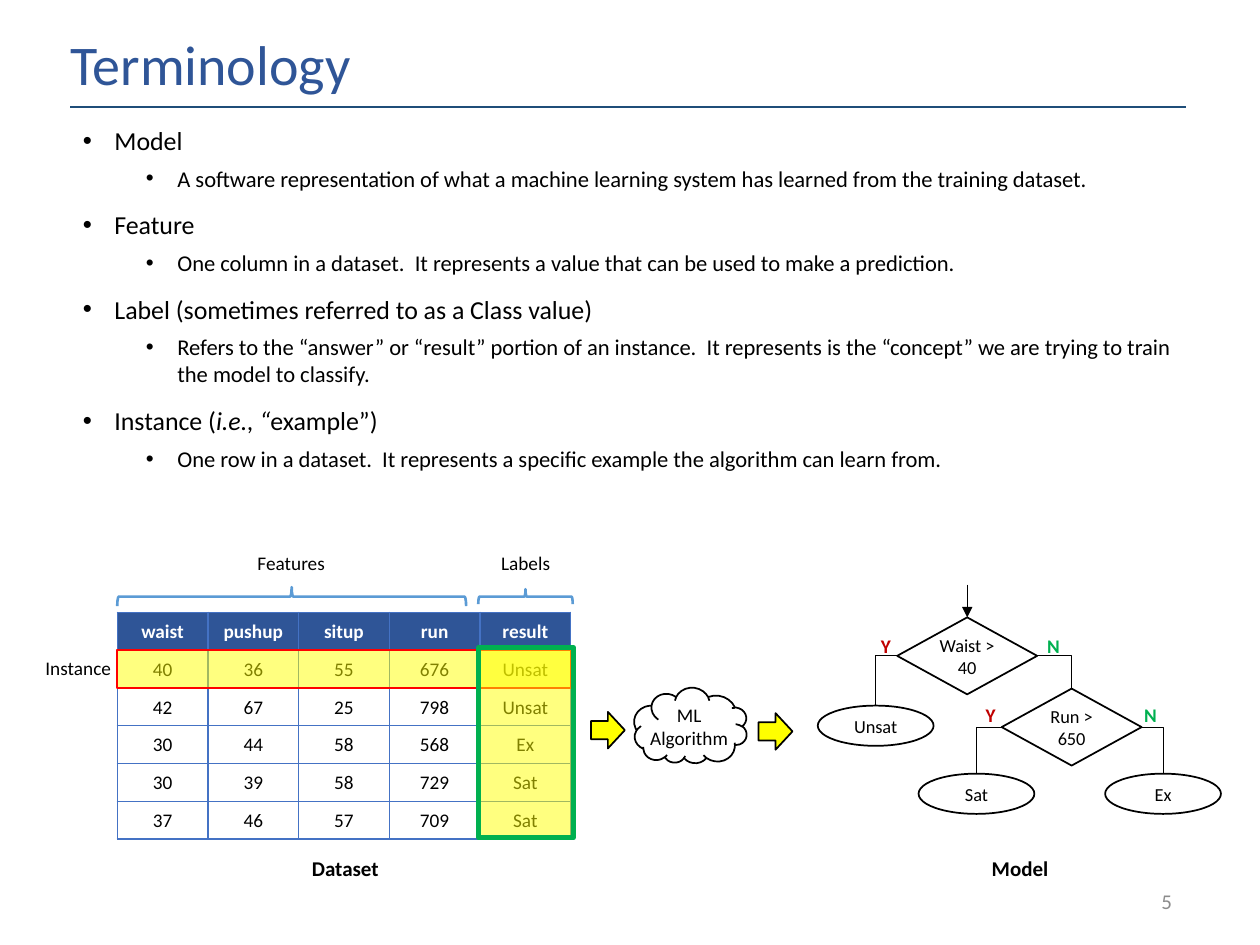
import pptx
import pptx.util
import pptx.dml.color
import pptx.enum.shapes
import pptx.enum.text
import pptx.oxml
import pptx.oxml.ns
import lxml.etree

Pt = pptx.util.Pt
RGBColor = pptx.dml.color.RGBColor
SHAPE = pptx.enum.shapes.MSO_SHAPE
CONNECTOR = pptx.enum.shapes.MSO_CONNECTOR
ALIGN = pptx.enum.text.PP_ALIGN
ANCHOR = pptx.enum.text.MSO_ANCHOR
qn = pptx.oxml.ns.qn

BLACK = RGBColor(0, 0, 0)
WHITE = RGBColor(255, 255, 255)
NAVY = RGBColor(0x2F, 0x55, 0x97)
RULE_BLUE = RGBColor(0x1F, 0x4E, 0x79)
GRID_BLUE = RGBColor(0x44, 0x72, 0xC4)
BRACE_BLUE = RGBColor(0x5B, 0x9B, 0xD5)
YELLOW = RGBColor(255, 255, 0)
RED = RGBColor(255, 0, 0)
DARK_RED = RGBColor(0xC0, 0, 0)
GREEN = RGBColor(0, 0xB0, 0x50)
GRAY = RGBColor(0x8C, 0x8C, 0x8C)

DEFINITIONS = [
    (["Model"], "A software representation of what a machine learning system has learned from the training dataset."),
    (["Feature"], "One column in a dataset.  It represents a value that can be used to make a prediction."),
    (["Label (sometimes referred to as a Class value)"],
     "Refers to the “answer” or “result” portion of an instance.  It represents is the “concept” "
     "we are trying to train the model to classify."),
    (["Instance (", "i.e., “", "example”)"],
     "One row in a dataset.  It represents a specific example the algorithm can learn from."),
]
DATASET = [
    ["waist", "pushup", "situp", "run", "result"],
    ["40", "36", "55", "676", "Unsat"],
    ["42", "67", "25", "798", "Unsat"],
    ["30", "44", "58", "568", "Ex"],
    ["30", "39", "58", "729", "Sat"],
    ["37", "46", "57", "709", "Sat"],
]


def style(paragraph, size, color=BLACK, bold=False, align=ALIGN.CENTER):
    font = paragraph.font
    font.name, font.size, font.bold = "Calibri", Pt(size), bold
    font.color.rgb = color
    paragraph.alignment = align


def add_label(slide, left, top, width, height, text, size=11, color=BLACK,
              bold=False, align=ALIGN.CENTER, anchor=ANCHOR.TOP):
    box = slide.shapes.add_textbox(Pt(left), Pt(top), Pt(width), Pt(height))
    frame = box.text_frame
    frame.word_wrap = True
    frame.vertical_anchor = anchor
    paragraph = frame.paragraphs[0]
    paragraph.text = text
    style(paragraph, size, color, bold, align)
    return paragraph


def add_figure(slide, kind, left, top, width, height, fill=None, line=BLACK,
               weight=1, text="", alpha=None, rotation=0):
    shape = slide.shapes.add_shape(kind, Pt(left), Pt(top), Pt(width), Pt(height))
    shape.shadow.inherit = False
    shape.rotation = rotation
    shape.line.color.rgb = line
    shape.line.width = Pt(weight)
    if fill is None:
        shape.fill.background()
    else:
        shape.fill.solid()
        shape.fill.fore_color.rgb = fill
    if alpha:
        color = shape._element.spPr.find(qn("a:solidFill")).find(qn("a:srgbClr"))
        lxml.etree.SubElement(color, qn("a:alpha"), val=str(alpha * 1000))
    if text:
        frame = shape.text_frame
        frame.margin_left = frame.margin_right = Pt(4)
        frame.margin_top = frame.margin_bottom = 0
        frame.word_wrap = True
        frame.vertical_anchor = ANCHOR.MIDDLE
        frame.paragraphs[0].text = text
        style(frame.paragraphs[0], 10.5)
    return shape


def add_line(slide, start, end, color=BLACK, weight=0.5, bent=False, arrow=False):
    kind = CONNECTOR.ELBOW if bent else CONNECTOR.STRAIGHT
    connector = slide.shapes.add_connector(kind, *start, *end)
    connector.line.color.rgb = color
    connector.line.width = Pt(weight)
    properties = connector._element.spPr
    if bent:
        properties.find(qn("a:prstGeom")).set("prst", "bentConnector2")
    if arrow:
        lxml.etree.SubElement(properties.find(qn("a:ln")), qn("a:tailEnd"), type="triangle")
    lxml.etree.SubElement(properties, qn("a:effectLst"))


def add_title(slide, left, top, width, height):
    title = add_label(slide, left, top, width, height, "Terminology", 32, NAVY,
                      align=ALIGN.LEFT, anchor=ANCHOR.MIDDLE)
    title.line_spacing = 0.9
    rule = top + height + 0.6
    add_line(slide, (Pt(left + 7.2), Pt(rule)), (Pt(left + width), Pt(rule)), RULE_BLUE, 1)


def add_bullet(frame, first, runs, level):
    paragraph = frame.paragraphs[0] if first else frame.add_paragraph()
    properties = paragraph._p.get_or_add_pPr()
    properties.set("marL", str(Pt(54 if level else 18)))
    properties.set("indent", str(Pt(-18)))
    lxml.etree.SubElement(properties, qn("a:buFont"), typeface="Arial")
    lxml.etree.SubElement(properties, qn("a:buChar"), char="•")
    paragraph.level = level
    for index, text in enumerate(runs):
        run = paragraph.add_run()
        run.text = text
        if index == 1:
            run.font.italic = True
    if not first:
        paragraph.space_before = Pt(5 if level else 10)
    style(paragraph, 12.9 if level else 14.8, align=ALIGN.LEFT)


def add_definitions(slide, left, top, width, height):
    frame = slide.shapes.add_textbox(Pt(left), Pt(top), Pt(width), Pt(height)).text_frame
    frame.word_wrap = True
    for index, (term, meaning) in enumerate(DEFINITIONS):
        add_bullet(frame, index == 0, term, 0)
        add_bullet(frame, False, [meaning], 1)


def format_cell(cell, text, header):
    cell.margin_left = cell.margin_right = cell.margin_top = Pt(0.72)
    cell.margin_bottom = 0
    cell.vertical_anchor = ANCHOR.MIDDLE
    paragraph = cell.text_frame.paragraphs[0]
    paragraph.text = text
    style(paragraph, 11, WHITE if header else BLACK, header)
    properties = cell._tc.get_or_add_tcPr()
    for side in ("lnL", "lnR", "lnT", "lnB"):
        border = lxml.etree.SubElement(properties, qn("a:" + side), w=str(Pt(1)))
        fill = lxml.etree.SubElement(border, qn("a:solidFill"))
        lxml.etree.SubElement(fill, qn("a:srgbClr"), val=str(GRID_BLUE))
    if header:
        cell.fill.solid()
        cell.fill.fore_color.rgb = NAVY
    else:
        cell.fill.background()


def add_dataset(slide, left, top, column=51.84, row=21.6):
    width, height = column * len(DATASET[0]), row * len(DATASET)
    table = slide.shapes.add_table(len(DATASET), len(DATASET[0]), Pt(left), Pt(top),
                                   Pt(width), Pt(height)).table
    table.horz_banding = False
    for table_column in table.columns:
        table_column.width = Pt(column)
    for index, values in enumerate(DATASET):
        table.rows[index].height = Pt(row)
        for position, text in enumerate(values):
            format_cell(table.cell(index, position), text, index == 0)
    add_figure(slide, SHAPE.RECTANGLE, left, top + row, width, row, YELLOW, RED, alpha=50)
    add_label(slide, left - 51.1, top + row, 54.7, 20.9, "Instance", align=ALIGN.RIGHT)
    add_figure(slide, SHAPE.RIGHT_BRACE, left + 94.3, top - 108.7, 10.8, 199.4,
               line=BRACE_BLUE, weight=1.5, rotation=270)
    add_label(slide, left + 56.9, top - 38.2, 85, 20.9, "Features")
    add_figure(slide, SHAPE.RECTANGLE, left + 206.6, top + 20.2, 54, 108.7, YELLOW, GREEN, 3, alpha=50)
    add_label(slide, left + 208.8, top - 38.2, 49, 20.9, "Labels")
    add_figure(slide, SHAPE.RIGHT_BRACE, left + 229, top - 36, 8.6, 54,
               line=BRACE_BLUE, weight=1.5, rotation=270)
    add_label(slide, left, top + 135.4, 260.6, 21.6, "Dataset", 12, bold=True)


def add_algorithm(slide, left, top):
    add_figure(slide, SHAPE.CLOUD, left + 24.5, top, 64.8, 43.9, WHITE, rotation=187.7)
    add_label(slide, left + 23, top + 5, 66.2, 33.8, "ML\nAlgorithm")
    for x, y in ((0, 13.7), (95.8, 14.4)):
        add_figure(slide, SHAPE.RIGHT_ARROW, left + x, top + y, 19.4, 20.9, YELLOW)


def add_branch(slide, decision, target):
    to_right = target.left > decision.left
    start = (decision.left + decision.width * to_right, decision.top + decision.height // 2)
    end = (target.left + target.width // 2, target.top)
    add_line(slide, start, end, bent=True)


def add_tree(slide, left, top):
    waist, run = [
        add_figure(slide, SHAPE.FLOWCHART_DECISION, left + x, top + y, 80, 44, WHITE, text=text)
        for x, y, text in ((45.4, 18.7, "Waist > 40"), (105.1, 59.4, "Run > 650"))]
    unsat, sat, excellent = [
        add_figure(slide, SHAPE.OVAL, left + x, top + y, 66.2, 23, WHITE, text=text)
        for x, y, text in ((0, 69.1, "Unsat"), (57.6, 108, "Sat"), (164.2, 108, "Ex"))]
    for decision, target in ((waist, unsat), (waist, run), (run, sat), (run, excellent)):
        add_branch(slide, decision, target)
    for x, y, text, color in ((14.4, 24.5, "Y", DARK_RED), (110.2, 24.5, "N", GREEN),
                              (74.2, 64.1, "Y", DARK_RED), (165.6, 64.1, "N", GREEN)):
        add_label(slide, left + x, top + y, 49, 20.9, text, color=color, bold=True)
    center = waist.left + waist.width // 2
    add_line(slide, (center, Pt(top)), (center, waist.top), arrow=True)
    add_label(slide, left, top + 151.2, 231.1, 21.6, "Model", 12, bold=True)


def main():
    presentation = pptx.Presentation()
    presentation.slide_width, presentation.slide_height = Pt(720), Pt(540)
    slide = presentation.slides.add_slide(presentation.slide_layouts[6])
    add_title(slide, 33.1, 16.6, 644.4, 43.9)
    add_definitions(slide, 40.3, 67.7, 637.2, 221.8)
    add_label(slide, 514.8, 500.4, 162, 28.8, "5", 12, GRAY, align=ALIGN.RIGHT, anchor=ANCHOR.MIDDLE)
    add_dataset(slide, 67, 349.9)
    add_algorithm(slide, 337.7, 393.1)
    add_tree(slide, 467.3, 334.1)
    presentation.save("out.pptx")


if __name__ == "__main__":
    main()
